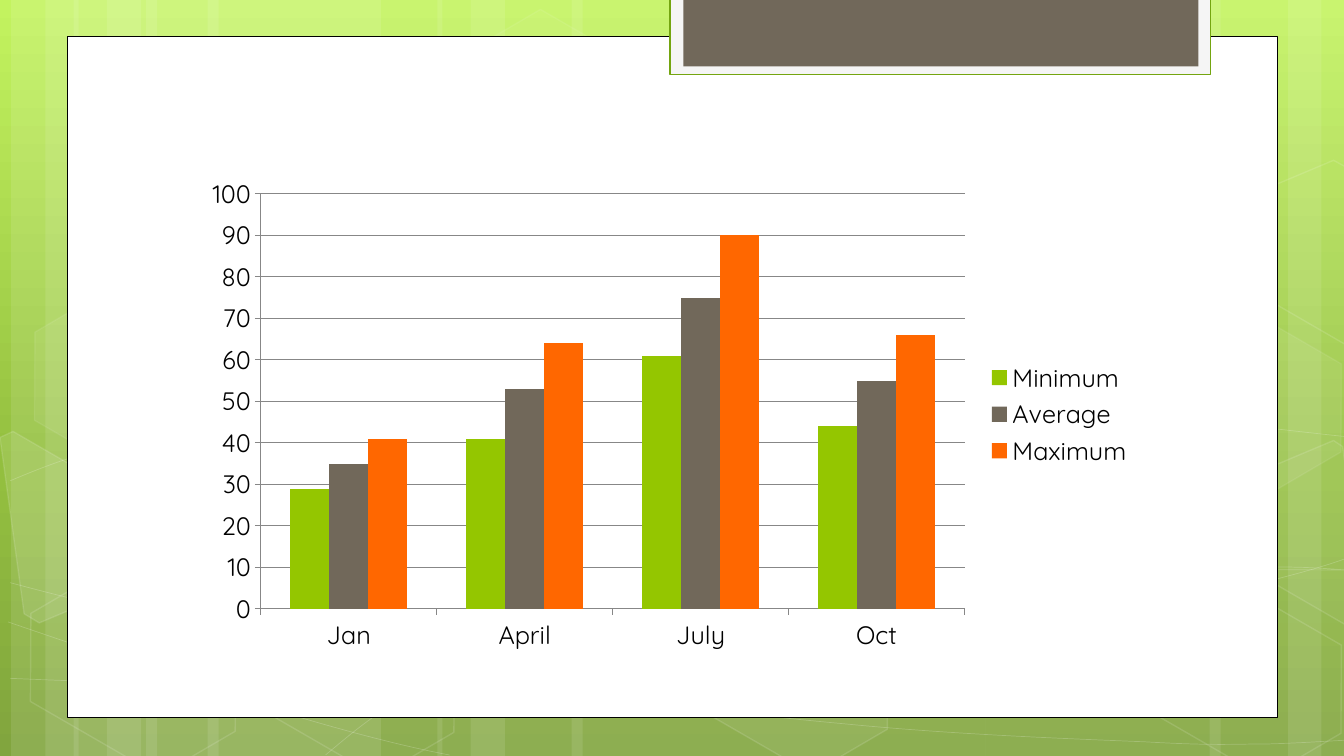
from copy import deepcopy

from lxml import etree
from pptx import Presentation
from pptx import util as u
from pptx.chart.data import CategoryChartData
from pptx.dml.color import RGBColor
from pptx.enum import chart as charts, shapes
from pptx.oxml.ns import qn

SLIDE_SIZE = (40 / 3, 7.5)
COLOURS = {"white": "FFFFFF", "black": "000000", "paper": "F5F5F5", "olive": "74A510",
           "taupe": "71685A", "lime": "94C600", "orange": "FF6700", "grid": "878787"}
BACKGROUND = [(0, "C3F35F"), (0.62, "93BF3F"), (1, "81A53E")]
FONT = "Quicksand"

MONTHS = ["Jan", "April", "July", "Oct"]
SERIES = [("Minimum", [29, 41, 61, 44], "lime"),
          ("Average", [35, 53, 75, 55], "taupe"),
          ("Maximum", [41, 64, 90, 66], "orange")]
CHART_BOX = (1.92, 1.67, 9.42, 4.88)

# Left edge and width of each full-height stripe
STRIPES = [(1.45, 2.33), (0.11, 0.67), (0.45, 1.11), (2.06, 2.33), (0.73, 0.67), (1.06, 1.11),
           (9.78, 2.33), (12.78, 0.67), (12, 1.11), (5.67, 4.11), (4.34, 0.67), (4.67, 1.11)]
# Start point, then two control points and an end point for each Bezier piece
CURVES = [
    [(0.1, 6.73), (0.82, 6.76), (1.54, 6.79), (2.54, 6.78), (3.54, 6.77), (4.77, 6.75),
     (6.1, 6.65), (7.44, 6.55), (9.33, 6.36), (10.55, 6.17), (11.78, 5.98), (13.03, 5.68),
     (13.43, 5.51)],
    [(0.1, 4.77), (0.48, 4.61), (0.86, 4.46), (1.62, 4.31), (2.38, 4.16), (3.45, 3.94),
     (4.63, 3.87), (5.82, 3.8), (7.25, 3.79), (8.72, 3.87), (10.19, 3.95), (12.63, 4.26),
     (13.43, 4.34)],
    [(0.08, 6.17), (1.69, 6.72), (3.3, 7.27), (4.46, 7.49)],
    [(0.1, 5.78), (0.51, 5.89), (0.93, 6), (1.71, 6.16), (2.48, 6.31), (3.64, 6.56),
     (4.75, 6.73), (5.86, 6.9), (7.27, 7.08), (8.37, 7.18), (9.48, 7.29), (10.66, 7.33),
     (11.37, 7.36), (12.07, 7.4), (12.25, 7.38), (12.6, 7.38), (12.94, 7.37), (13.19, 7.35),
     (13.43, 7.34)],
    [(3.23, 7.49), (3.47, 7.29), (3.7, 7.09), (4.03, 6.91), (4.35, 6.73), (4.8, 6.53),
     (5.17, 6.39), (5.54, 6.25), (5.77, 6.19), (6.26, 6.09), (6.75, 5.99), (7.65, 5.85),
     (8.11, 5.78), (8.58, 5.71), (8.65, 5.71), (9.07, 5.69), (9.48, 5.66), (10.13, 5.63),
     (10.59, 5.62), (11.05, 5.61), (11.82, 5.62), (11.82, 5.62), (11.82, 5.62), (12.7, 5.62),
     (12.7, 5.62), (12.95, 5.63), (13.17, 5.64), (13.29, 5.65), (13.41, 5.66), (13.37, 5.65),
     (13.41, 5.66)],
]
# The last curve has one straight piece, whose control points lie on its ends
CURVES[-1] = CURVES[-1][:24] + CURVES[-1][25:]
# Left, top, fill opacity, line opacity (percent)
HEXAGONS = [(4.45, 0.36, 4, 8), (6.62, 5.89, 6, 12), (0.15, 5.91, 0, 12), (0.19, 3.12, 7, 8),
            (2.32, 5.92, 0, 12), (11.12, 5.93, 0, 12), (11.12, 3.14, 7, 8)]
# Outline and fill opacity of the hexagons cut by the slide's edge
CUT_HEXAGONS = [
    ([(0, 4.34), (0.13, 4.28), (1.15, 4.87), (1.27, 5.81), (0.39, 6.18), (0.24, 6.09)], 10),
    ([(12.35, 4.74), (13.23, 4.37), (13.32, 4.43), (13.57, 6.25), (13.49, 6.28),
      (12.47, 5.69)], 4),
    ([(12.35, 1.96), (13.23, 1.59), (13.34, 1.65), (13.57, 3.46), (13.49, 3.5),
      (12.47, 2.91)], 0),
]
# Box, fill, line colour and width
PANELS = [((0.67, 0.36, 12, 6.76), "white", "black", 0.5),
          ((6.65, -0.02, 5.36, 0.76), "paper", "olive", 1.25),
          ((6.78, -0.02, 5.11, 0.68), "taupe", None, 0)]


def rgb(name):
    return RGBColor.from_string(COLOURS[name])


def inches(values):
    return [u.Inches(value) for value in values]


def paint(fill, colour, opacity=100):
    """Give a fill a solid colour; opacity 0 means no fill."""
    if not opacity:
        fill.background()
        return
    fill.solid()
    fill.fore_color.rgb = rgb(colour)


def style(shape, fill=None, fill_opacity=100, line=None, width=0, line_opacity=100):
    shape.shadow.inherit = False
    paint(shape.fill, fill, fill_opacity if fill else 0)
    paint(shape.line.fill, line, line_opacity if line else 0)
    if line:
        shape.line.width = u.Pt(width)
    properties = shape.element.spPr
    for route, opacity in (("a:solidFill", fill_opacity), ("a:ln/a:solidFill", line_opacity)):
        steps = "/".join(qn(step) for step in route.split("/"))
        colour = properties.find(steps + "/" + qn("a:srgbClr"))
        if colour is not None and opacity < 100:
            etree.SubElement(colour, qn("a:alpha")).set("val", str(opacity * 1000))


def add_box(slide, kind, box):
    return slide.shapes.add_shape(kind, *inches(box))


def add_outline(slide, points, close):
    start, *rest = [inches(point) for point in points]
    builder = slide.shapes.build_freeform(*start)
    builder.add_line_segments(rest, close=close)
    return builder.convert_to_shape()


def add_curve(slide, points):
    """Draw an outline, then join each three of its segments into one Bezier piece."""
    curve = add_outline(slide, points, False)
    segments = list(curve.element.iter(qn("a:lnTo")))
    for first in range(0, len(segments), 3):
        piece = etree.Element(qn("a:cubicBezTo"))
        segments[first].addprevious(piece)
        for segment in segments[first:first + 3]:
            piece.append(segment[0])
            segment.getparent().remove(segment)
    return curve


def set_background(slide):
    fill = slide.background.fill
    fill.gradient()
    fill.gradient_angle = 270
    stop_list = slide.element.find(".//" + qn("a:gsLst"))
    stop_list.append(deepcopy(stop_list[-1]))
    for stop, (position, colour) in zip(fill.gradient_stops, BACKGROUND):
        stop.position = position
        stop.color.rgb = RGBColor.from_string(colour)


def add_backdrop(slide):
    rectangle = shapes.MSO_SHAPE.RECTANGLE
    for left, width in STRIPES:
        style(add_box(slide, rectangle, (left, 0, width, SLIDE_SIZE[1])), "white", 10)
    for points in CURVES:
        style(add_curve(slide, points), line="white", width=0.5, line_opacity=20)
    for left, top, fill_opacity, line_opacity in HEXAGONS:
        hexagon = add_box(slide, shapes.MSO_SHAPE.HEXAGON, (left, top, 2.34, 1.52))
        hexagon.adjustments[0] = 0.285
        hexagon.rotation = 30
        style(hexagon, "white", fill_opacity, "white", 1, line_opacity)
    for points, opacity in CUT_HEXAGONS:
        style(add_outline(slide, points, True), "white", opacity, "white", 1, 12)
    for box, fill, line, width in PANELS:
        style(add_box(slide, rectangle, box), fill, line=line, width=width)


def add_temperature_chart(slide):
    data = CategoryChartData()
    data.categories = MONTHS
    for name, values, _ in SERIES:
        data.add_series(name, values)
    chart = slide.shapes.add_chart(charts.XL_CHART_TYPE.COLUMN_CLUSTERED,
                                   *inches(CHART_BOX), data).chart
    chart.has_title = False
    chart.font.name, chart.font.size = FONT, u.Pt(18)
    chart.font.color.rgb = rgb("black")
    chart.has_legend = True
    chart.legend.position = charts.XL_LEGEND_POSITION.RIGHT
    chart.legend.include_in_layout = False

    plot = chart.plots[0]
    plot.gap_width, plot.overlap, plot.vary_by_categories = 150, 0, False
    for series, (_, _, colour) in zip(plot.series, SERIES):
        paint(series.format.fill, colour)
        series.invert_if_negative = False

    scale = chart.value_axis
    scale.has_major_gridlines = True
    for axis in (chart.category_axis, scale):
        axis.major_tick_mark = charts.XL_TICK_MARK.OUTSIDE
    for part in (chart.category_axis, scale, scale.major_gridlines):
        part.format.line.color.rgb = rgb("grid")
        part.format.line.width = u.Pt(0.75)


def main():
    deck = Presentation()
    deck.slide_width, deck.slide_height = inches(SLIDE_SIZE)
    slide = deck.slides.add_slide(deck.slide_layouts[6])
    set_background(slide)
    add_backdrop(slide)
    add_temperature_chart(slide)
    deck.save("out.pptx")


if __name__ == "__main__":
    main()
